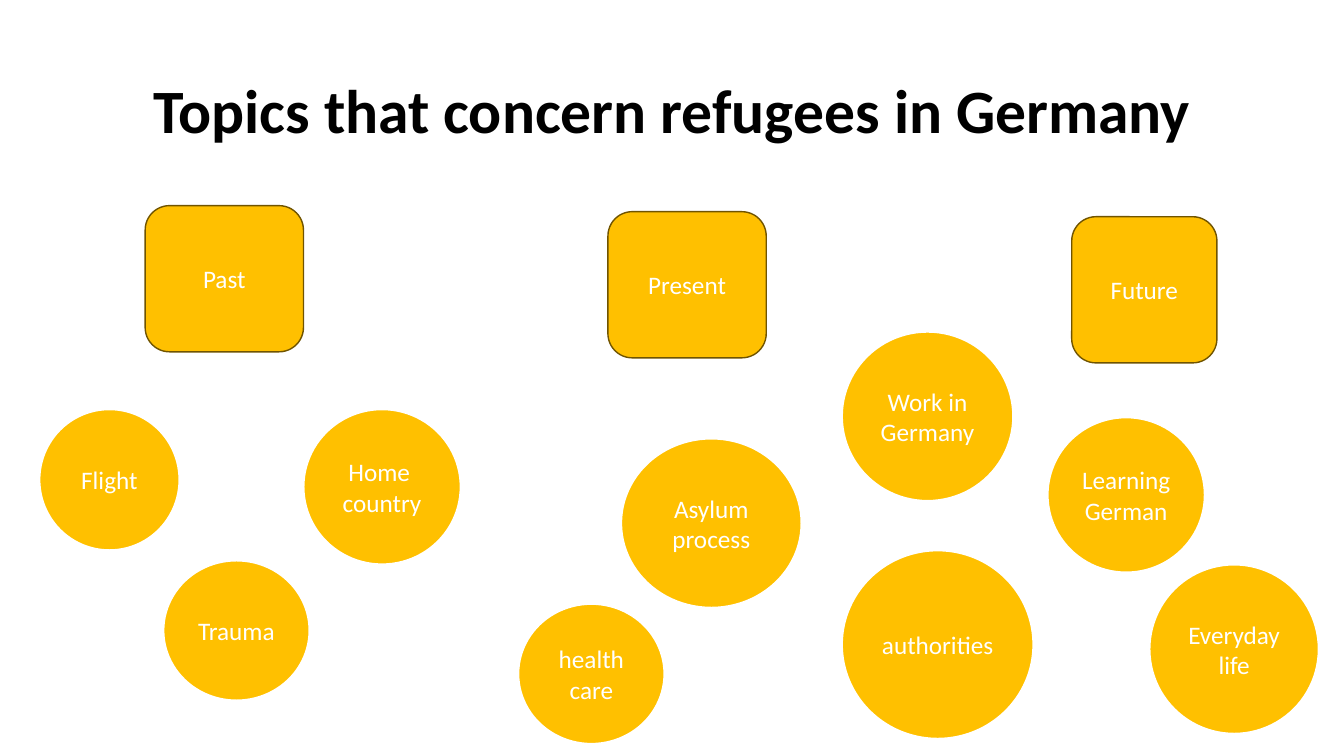
from pptx import Presentation
from pptx.dml.color import RGBColor
from pptx.enum.shapes import MSO_SHAPE
from pptx.enum.text import MSO_ANCHOR, PP_ALIGN
from pptx.util import Inches, Pt

ROUNDED = MSO_SHAPE.ROUNDED_RECTANGLE
CIRCLE = MSO_SHAPE.FLOWCHART_CONNECTOR
MIDDLE = MSO_ANCHOR.MIDDLE
CENTER = PP_ALIGN.CENTER

FONT = "Calibri"
COLORS = {"amber": "FFC000", "brown": "705400", "white": "FFFFFF", "black": "000000"}

TITLE = ("Topics that concern refugees in Germany", (0.92, 0.4, 11.5, 1.45))
PERIODS = [
    ("Past", (1.44, 2.04, 1.57, 1.45)),
    ("Future", (10.63, 2.15, 1.44, 1.45)),
    ("Present", (6.03, 2.1, 1.57, 1.45)),
]
TOPICS = [
    ("Flight", (0.39, 4.06, 1.39, 1.4)),
    ("Home \ncountry", (3.01, 4.06, 1.56, 1.54)),
    ("Trauma", (1.62, 5.56, 1.45, 1.39)),
    ("Asylum process", (6.16, 4.35, 1.79, 1.68)),
    ("health care", (5.14, 5.99, 1.45, 1.39)),
    ("authorities", (8.35, 5.46, 1.9, 1.87)),
    ("Learning German", (10.39, 4.14, 1.56, 1.54)),
    ("Everyday life", (11.4, 5.6, 1.68, 1.68)),
    ("Work in Germany", (8.35, 3.29, 1.7, 1.68)),
]


def rgb(name):
    return RGBColor.from_string(COLORS[name])


def write(sp, text, size, color, bold=False):
    tf = sp.text_frame
    tf.word_wrap = True
    tf.vertical_anchor = MIDDLE
    tf.text = text
    for p in tf.paragraphs:
        p.alignment = CENTER
        p.font.name = FONT
        p.font.size = Pt(size)
        p.font.bold = bold
        p.font.color.rgb = rgb(color)


def add_node(s, kind, text, box, line, width):
    sp = s.shapes.add_shape(kind, *map(Inches, box))
    sp.shadow.inherit = False
    sp.fill.solid()
    sp.fill.fore_color.rgb = rgb("amber")
    sp.line.color.rgb = rgb(line)
    sp.line.width = Pt(width)
    write(sp, text, 18, "white")


def main():
    prs = Presentation()
    prs.slide_width = Inches(13.33)
    prs.slide_height = Inches(7.5)
    s = prs.slides.add_slide(prs.slide_layouts[6])

    text, box = TITLE
    title = s.shapes.add_textbox(*map(Inches, box))
    write(title, text, 44, "black", bold=True)
    title.text_frame.paragraphs[0].line_spacing = 0.9

    for text, box in PERIODS:
        add_node(s, ROUNDED, text, box, "brown", 1)
    for text, box in TOPICS:
        add_node(s, CIRCLE, text, box, "white", 1.5)

    prs.save("out.pptx")


if __name__ == "__main__":
    main()
